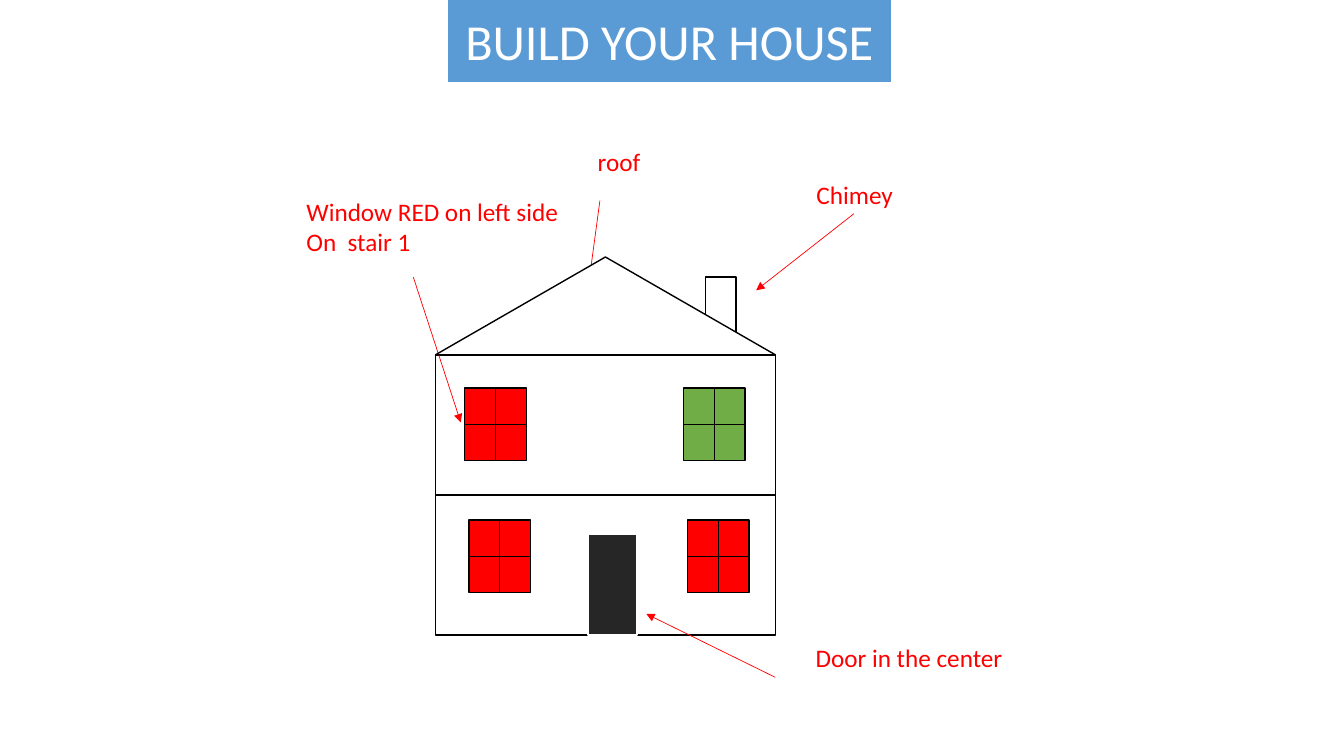
from lxml import etree
from pptx import Presentation
from pptx.dml.color import RGBColor
from pptx.enum import shapes, text
from pptx.oxml import ns
from pptx.util import Inches, Pt

# Content
TITLE = "BUILD YOUR HOUSE"
FONT = "Calibri"
BLACK, WHITE, RED, GREEN = "000000", "FFFFFF", "FF0000", "70AD47"
BLUE, CHARCOAL = "5B9BD5", "262626"

# House measures in inches
HOUSE_LEFT, HOUSE_WIDTH = 4.32, 3.37
ROOF_TOP, ROOF_HEIGHT = 2.55, 0.97
STOREY_HEIGHT = 1.39
UPPER_TOP = ROOF_TOP + ROOF_HEIGHT
LOWER_TOP = UPPER_TOP + STOREY_HEIGHT
WINDOW_WIDTH, WINDOW_HEIGHT, WINDOW_PITCH = 0.61, 0.72, 2.17
DOOR_WIDTH, DOOR_HEIGHT = 0.49, 1.0

# Per storey: first window's left and top, then colours from left to right
WINDOW_ROWS = [
    (4.61, 3.85, (RED, GREEN)),
    (4.65, 5.16, (RED, RED)),
]

# Label lines, label box, arrow start, arrow end
LABELS = [
    (["Window RED on left side", "On  stair 1"], (2.94, 1.9, 2.79, 0.71),
     (4.1, 2.75), (4.57, 4.19)),
    (["Chimey"], (8, 1.73, 1.03, 0.4), (8.47, 2.12), (7.5, 2.88)),
    (["Door in the center"], (7.99, 6.32, 2.08, 0.4), (7.69, 6.72), (6.41, 6.09)),
    (["roof"], (5.83, 1.4, 0.63, 0.4), (5.95, 1.99), (5.83, 2.88)),
]


def color(value):
    return RGBColor.from_string(value)


def paint(shape, fill, line=BLACK, width=1):
    shape.fill.solid()
    shape.fill.fore_color.rgb = color(fill)
    shape.line.color.rgb = color(line)
    shape.line.width = Pt(width)


def add_block(parent, box, fill, line=BLACK, width=1,
              kind=shapes.MSO_SHAPE.RECTANGLE):
    shape = parent.add_shape(kind, *map(Inches, box))
    shape.shadow.inherit = False
    paint(shape, fill, line, width)
    return shape


def add_line(parent, start, end, line, width):
    connector = parent.add_connector(
        shapes.MSO_CONNECTOR.STRAIGHT, *map(Inches, start + end))
    connector.line.color.rgb = color(line)
    connector.line.width = Pt(width)
    etree.SubElement(connector._element.spPr, ns.qn("a:effectLst"))
    return connector


def add_window(slide, left, top, fill):
    group = slide.shapes.add_group_shape()
    pane = add_block(group.shapes, (left, top, WINDOW_WIDTH, WINDOW_HEIGHT), fill)
    middle_x, middle_y = left + WINDOW_WIDTH / 2, top + WINDOW_HEIGHT / 2
    bars = [
        ((middle_x, top), (middle_x, top + WINDOW_HEIGHT), 0, 2),
        ((left, middle_y), (left + WINDOW_WIDTH, middle_y), 1, 3),
    ]
    for start, end, start_side, end_side in bars:
        bar = add_line(group.shapes, start, end, BLACK, 1)
        bar.begin_connect(pane, start_side)
        bar.end_connect(pane, end_side)


def add_label(slide, lines, box, start, end):
    arrow = add_line(slide.shapes, start, end, RED, 0.5)
    etree.SubElement(arrow.line._get_or_add_ln(), ns.qn("a:tailEnd"), type="triangle")
    frame = slide.shapes.add_textbox(*map(Inches, box)).text_frame
    frame.word_wrap = False
    frame.auto_size = text.MSO_AUTO_SIZE.SHAPE_TO_FIT_TEXT
    frame.text = "\n".join(lines)
    for paragraph in frame.paragraphs:
        format_text(paragraph, 18, RED)


def format_text(paragraph, size, value):
    paragraph.font.name = FONT
    paragraph.font.size = Pt(size)
    paragraph.font.color.rgb = color(value)


def main():
    presentation = Presentation()
    presentation.slide_width, presentation.slide_height = Inches(13.33), Inches(7.5)
    slide = presentation.slides.add_slide(presentation.slide_layouts[5])

    # Title
    title = slide.shapes.title
    title.left, title.top, title.width, title.height = map(
        Inches, (4.43, 0.05, 4.42, 0.71))
    paint(title, BLUE, WHITE, 1.5)
    title.text_frame.text = TITLE
    title.text_frame.auto_size = text.MSO_AUTO_SIZE.SHAPE_TO_FIT_TEXT
    paragraph = title.text_frame.paragraphs[0]
    paragraph.alignment = text.PP_ALIGN.CENTER
    format_text(paragraph, 36, WHITE)

    # Storeys and windows
    for top in (LOWER_TOP, UPPER_TOP):
        add_block(slide.shapes, (HOUSE_LEFT, top, HOUSE_WIDTH, STOREY_HEIGHT), WHITE)
    for left, top, fills in WINDOW_ROWS:
        for column, fill in enumerate(fills):
            add_window(slide, left + column * WINDOW_PITCH, top, fill)

    # Door and chimney
    door_left = HOUSE_LEFT + (HOUSE_WIDTH - DOOR_WIDTH) / 2 + 0.07
    door_top = LOWER_TOP + STOREY_HEIGHT - DOOR_HEIGHT
    add_block(slide.shapes, (door_left, door_top, DOOR_WIDTH, DOOR_HEIGHT),
              CHARCOAL, WHITE, 1.5)
    add_block(slide.shapes, (7, 2.75, 0.3, 0.67), WHITE)

    # Labels, then the roof in front of them
    for label in LABELS:
        add_label(slide, *label)
    add_block(slide.shapes, (HOUSE_LEFT, ROOF_TOP, HOUSE_WIDTH, ROOF_HEIGHT), WHITE,
              kind=shapes.MSO_SHAPE.ISOSCELES_TRIANGLE)

    presentation.save("out.pptx")


if __name__ == "__main__":
    main()
